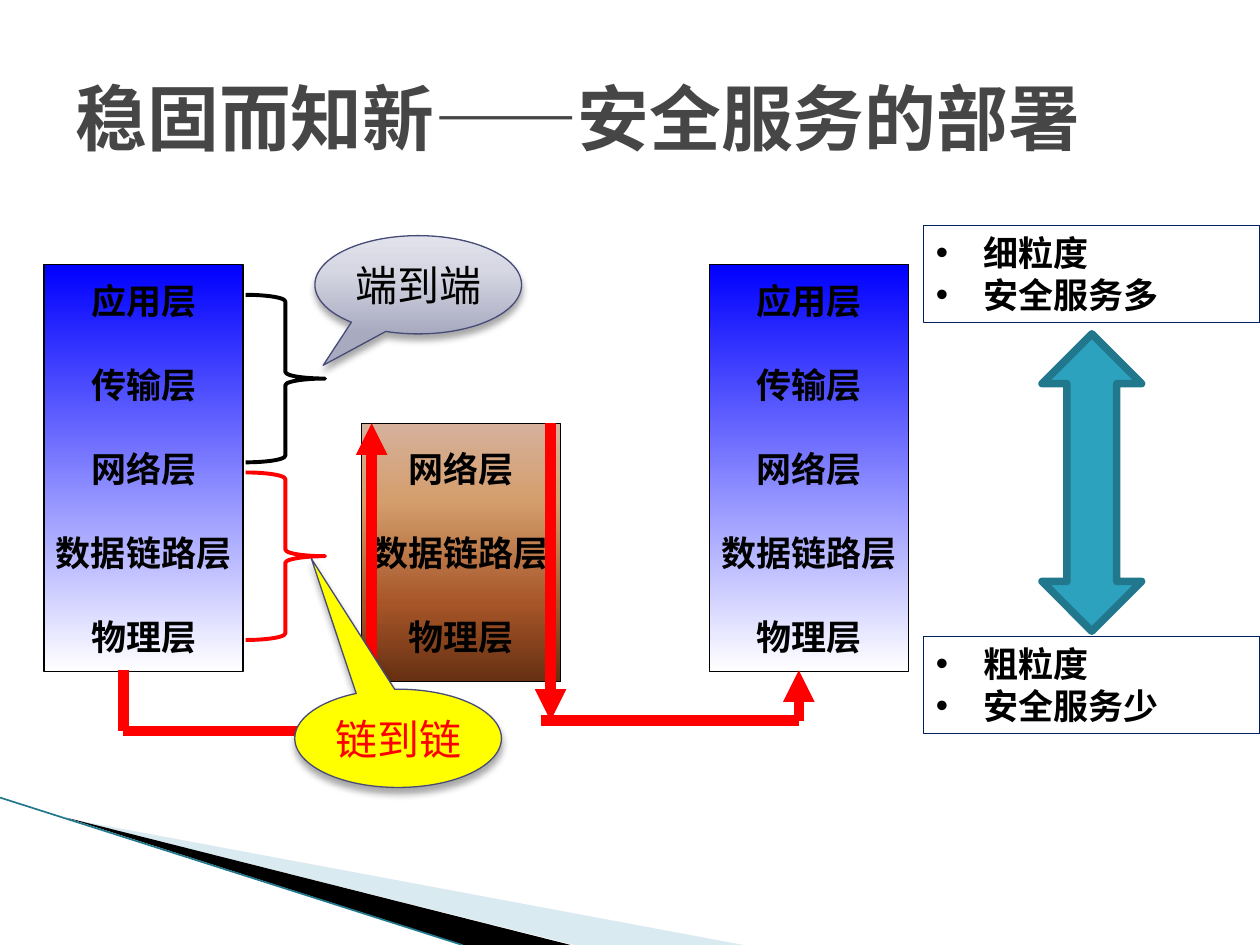
from lxml import etree
from pptx import Presentation
from pptx.dml.color import RGBColor
from pptx.enum.shapes import MSO_CONNECTOR, MSO_SHAPE
from pptx.enum.text import MSO_ANCHOR, PP_ALIGN
from pptx.oxml.ns import qn
from pptx.util import Inches, Pt

LEFT, CENTER = PP_ALIGN.LEFT, PP_ALIGN.CENTER
TOP, MIDDLE = MSO_ANCHOR.TOP, MSO_ANCHOR.MIDDLE
RECT, BRACE = MSO_SHAPE.RECTANGLE, MSO_SHAPE.RIGHT_BRACE
CALLOUT, DOUBLE_ARROW = MSO_SHAPE.OVAL_CALLOUT, MSO_SHAPE.UP_DOWN_ARROW
STRAIGHT = MSO_CONNECTOR.STRAIGHT

COLORS = {
    "title": "464646", "black": "000000", "red": "FF0000", "yellow": "FFFF00",
    "navy": "002060", "slate": "474B78", "teal": "2DA2BF",
    "dark_teal": "21788D", "pale_teal": "A0CBDC",
}
BLUE_FADE = [(0, "0000FF"), (100, "FFFFFF")]
BROWN_FADE = [(0, "D6B19C"), (30, "D49E6C"), (70, "A65528"), (100, "663012")]
GREY_FADE = [(0, "A8AAC0"), (65, "D6D7E3"), (100, "E2E2EC")]
HEAD_FONT, LAYER_FONT, NOTE_FONT = "DejaVu Sans Mono", "Comic Neue", "Karla"
LAYERS = ["应用层", "传输层", "网络层", "数据链路层", "物理层"]


def rgb(name):
    return RGBColor.from_string(COLORS[name])


def add_xml(parent, tag, **attrs):
    return etree.SubElement(parent, qn(tag), attrs)


class SlideBuilder:
    def __init__(self, prs):
        self.slide = prs.slides.add_slide(prs.slide_layouts[5])
        self.shapes = self.slide.shapes

    def format_text(self, tf, size, font, color, bold=False, align=CENTER):
        for p in tf.paragraphs:
            p.alignment = align
            for r in p.runs:
                r.font.size, r.font.name, r.font.bold = Pt(size), font, bold
                r.font.color.rgb = rgb(color)

    def title(self, text):
        sp = self.shapes.title
        sp.left, sp.top = Inches(0.5), Inches(0.3)
        sp.width, sp.height = Inches(9), Inches(1.25)
        tf = sp.text_frame
        tf.text = text
        tf.vertical_anchor = MIDDLE
        self.format_text(tf, 41, HEAD_FONT, "title", True, LEFT)

    def paint(self, sp, fill=None, line=None, width=0.75):
        sp.shadow.inherit = False
        if fill:
            sp.fill.solid()
            sp.fill.fore_color.rgb = rgb(fill)
        else:
            sp.fill.background()
        if line:
            sp.line.color.rgb = rgb(line)
            sp.line.width = Pt(width)
        else:
            sp.line.fill.background()

    def gradient(self, sp, stops, angle):
        """Fill with (percent, hex) stops; the angle runs clockwise."""
        sp.fill.gradient()
        grad = sp._element.spPr.find(qn("a:gradFill"))
        for child in list(grad):
            grad.remove(child)
        stop_list = add_xml(grad, "a:gsLst")
        for pos, color in stops:
            gs = add_xml(stop_list, "a:gs", pos=str(pos * 1000))
            add_xml(gs, "a:srgbClr", val=color)
        add_xml(grad, "a:lin", ang=str(angle * 60000), scaled="0")

    def shape(self, kind, x, y, w, h, **style):
        sp = self.shapes.add_shape(kind, Inches(x), Inches(y), Inches(w), Inches(h))
        self.paint(sp, **style)
        return sp

    def wedge(self, points, color, opacity=100):
        start, *rest = [(Inches(x), Inches(y)) for x, y in points]
        builder = self.shapes.build_freeform(*start)
        builder.add_line_segments(rest, close=True)
        sp = builder.convert_to_shape()
        self.paint(sp, color)
        clr = sp._element.spPr.find(qn("a:solidFill"))[0]
        add_xml(clr, "a:alpha", val=str(opacity * 1000))

    def line(self, start, end, color="red", width=6, arrow=False):
        ends = [Inches(v) for v in (*start, *end)]
        cn = self.shapes.add_connector(STRAIGHT, *ends)
        cn.line.color.rgb = rgb(color)
        cn.line.width = Pt(width)
        if arrow:
            add_xml(cn.line._get_or_add_ln(), "a:tailEnd", type="triangle")
        add_xml(cn._element.spPr, "a:effectLst")

    def stack(self, x, y, h, layers, stops):
        sp = self.shape(RECT, x, y, 1.58, h, line="black")
        self.gradient(sp, stops, 90)
        tf = sp.text_frame
        tf.word_wrap = False
        tf.vertical_anchor = MIDDLE
        tf.text = "\n".join(layers)
        for p in tf.paragraphs[1:]:
            p.space_before = Pt(24)
        self.format_text(tf, 20, LAYER_FONT, "black", True)

    def callout(self, x, y, text, color, tip, fill=None, stops=None):
        sp = self.shape(CALLOUT, x, y, 1.64, 0.78, fill=fill, line="slate")
        sp.adjustments[0], sp.adjustments[1] = tip
        if stops:
            self.gradient(sp, stops, 270)
        effects = sp._element.spPr.find(qn("a:effectLst"))
        shadow = add_xml(effects, "a:outerShdw", blurRad=str(Pt(4)),
                         dist=str(Pt(3)), dir="5400000", rotWithShape="0")
        clr = add_xml(shadow, "a:srgbClr", val=COLORS["black"])
        add_xml(clr, "a:alpha", val="35000")
        tf = sp.text_frame
        tf.margin_left = tf.margin_right = tf.margin_top = tf.margin_bottom = 0
        tf.vertical_anchor = MIDDLE
        tf.text = text
        self.format_text(tf, 24, HEAD_FONT, color)

    def bullet_box(self, y, items):
        sp = self.shape(RECT, 7.33, y, 2.67, 0.77, line="navy")
        tf = sp.text_frame
        tf.word_wrap = True
        tf.vertical_anchor = TOP
        tf.text = "\n".join(items)
        for p in tf.paragraphs:
            pPr = p._p.get_or_add_pPr()
            pPr.set("marL", str(Inches(0.38)))
            pPr.set("indent", str(-Inches(0.38)))
            add_xml(pPr, "a:buFont", typeface="Arial")
            add_xml(pPr, "a:buChar", char="•")
        self.format_text(tf, 20, NOTE_FONT, "black", True, LEFT)


def main():
    prs = Presentation()
    prs.slide_width, prs.slide_height = Inches(10), Inches(7.5)
    s = SlideBuilder(prs)

    s.wedge([(0.55, 6.5), (5.9, 7.5), (4.56, 7.5)], "pale_teal", 40)
    s.wedge([(0.53, 6.49), (4.53, 7.5), (3.68, 7.5)], "black")
    s.line((0, 6.33), (3.67, 7.5), "dark_teal", 0.95)
    s.title("稳固而知新——安全服务的部署")

    for x in (0.35, 5.63):
        s.stack(x, 2.1, 3.23, LAYERS, BLUE_FADE)
    s.stack(2.87, 3.36, 2.05, LAYERS[2:], BROWN_FADE)

    # Route of the data from the left host through the relay to the right host
    for start, end, arrow in [
        ((0.98, 5.32), (0.98, 5.8), False),
        ((0.98, 5.8), (3.03, 5.8), False),
        ((2.95, 5.8), (2.95, 3.36), True),
        ((4.37, 3.36), (4.37, 5.72), True),
        ((4.29, 5.72), (6.34, 5.72), False),
        ((6.34, 5.72), (6.34, 5.32), True),
    ]:
        s.line(start, end, arrow=arrow)

    for y, color in ((2.34, "black"), (3.75, "red")):
        s.shape(BRACE, 1.95, y, 0.63, 1.33, line=color, width=2.25)
    s.callout(2.5, 1.87, "端到端", "black", (-0.46, 0.82), stops=GREY_FADE)
    s.callout(2.34, 5.47, "链到链", "red", (-0.42, -1.83), fill="yellow")

    s.shape(DOUBLE_ARROW, 8.27, 2.65, 0.79, 2.36,
            fill="teal", line="dark_teal", width=4.33)
    s.bullet_box(1.79, ["细粒度", "安全服务多"])
    s.bullet_box(5.05, ["粗粒度", "安全服务少"])

    prs.save("out.pptx")


if __name__ == "__main__":
    main()
